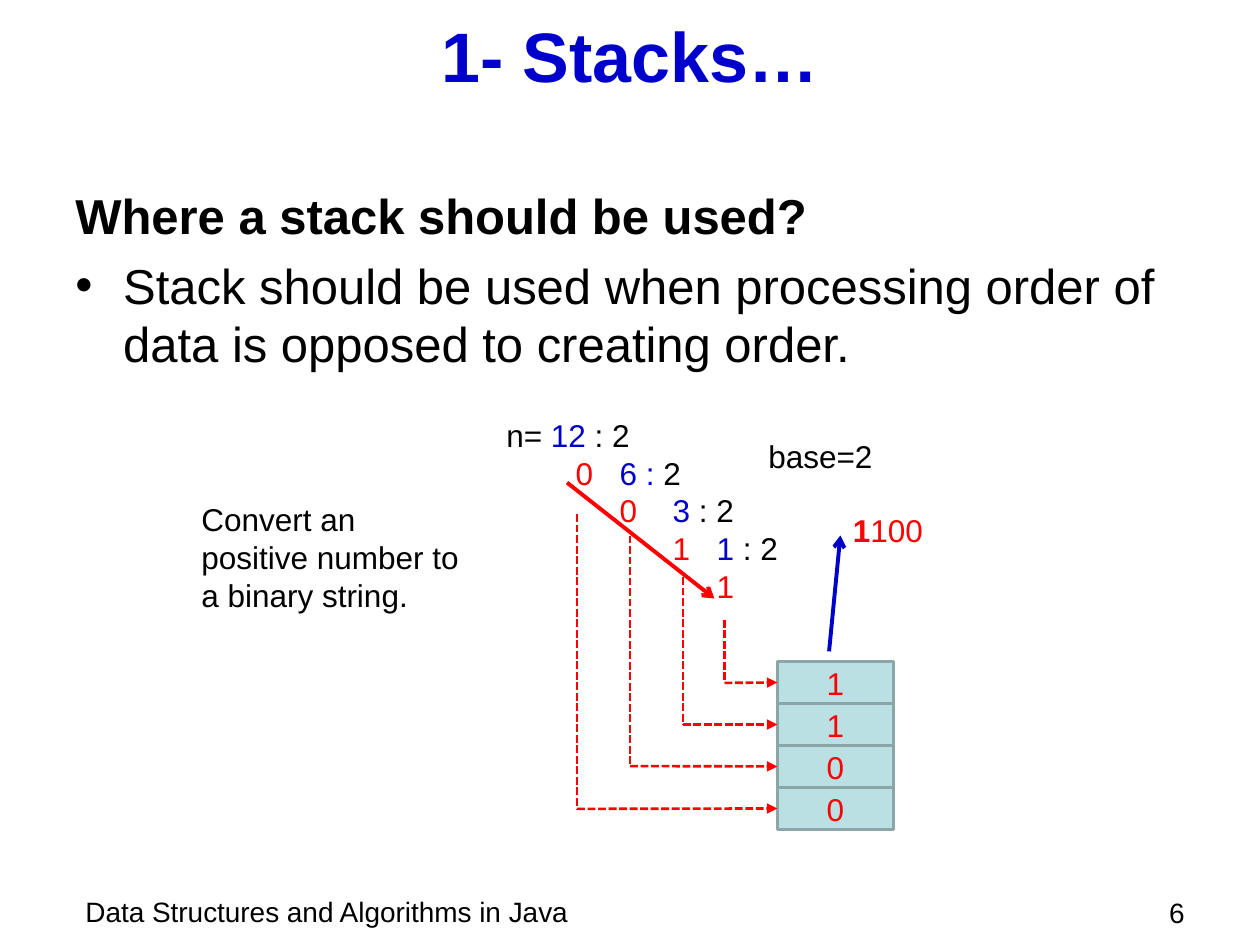
import pptx
import pptx.util
import pptx.dml.color
import pptx.enum.dml
import pptx.enum.shapes
import pptx.enum.text
import pptx.oxml
import pptx.oxml.ns
from lxml import etree

Inches = pptx.util.Inches
Pt = pptx.util.Pt
RGBColor = pptx.dml.color.RGBColor
PP_ALIGN = pptx.enum.text.PP_ALIGN
MSO_ANCHOR = pptx.enum.text.MSO_ANCHOR
qn = pptx.oxml.ns.qn

BLACK = RGBColor(0x00, 0x00, 0x00)
WHITE = RGBColor(0xFF, 0xFF, 0xFF)
BLUE = RGBColor(0x00, 0x00, 0xCC)
RED = RGBColor(0xFF, 0x00, 0x00)
CELL_FILL = RGBColor(0xBB, 0xE0, 0xE3)
CELL_LINE = RGBColor(0x8A, 0xA6, 0xA8)

deck = pptx.Presentation()
deck.slide_width = Inches(10)
deck.slide_height = Inches(7.5)
page = deck.slides.add_slide(deck.slide_layouts[6])
page.background.fill.solid()
page.background.fill.fore_color.rgb = WHITE


def add_text(left, top, width, height, paragraphs, size, align=PP_ALIGN.LEFT):
    box = page.shapes.add_textbox(Inches(left), Inches(top), Inches(width), Inches(height))
    frame = box.text_frame
    frame.word_wrap = True
    for index, spans in enumerate(paragraphs):
        para = frame.paragraphs[0] if index == 0 else frame.add_paragraph()
        para.alignment = align
        for text, color, bold in spans:
            span = para.add_run()
            span.text = text
            span.font.name = "Arial"
            span.font.size = Pt(size)
            span.font.color.rgb = color
            span.font.bold = bold
    return frame


def add_line(start, end, color, width, dashed=False, head=None):
    line = page.shapes.add_connector(
        pptx.enum.shapes.MSO_CONNECTOR.STRAIGHT, *[Inches(value) for value in start + end])
    line.line.color.rgb = color
    line.line.width = Pt(width)
    if dashed:
        line.line.dash_style = pptx.enum.dml.MSO_LINE.SQUARE_DOT
    if head:
        etree.SubElement(line.line._get_or_add_ln(), qn("a:tailEnd"), type=head)
    etree.SubElement(line._element.spPr, qn("a:effectLst"))
    return line


add_text(0.58, 7.05, 5.67, 0.37, [[("Data Structures and Algorithms in Java", BLACK, False)]], 16)
add_text(8.83, 7.06, 0.67, 0.35, [[("6", BLACK, False)]], 16, PP_ALIGN.RIGHT)

title = add_text(0.5, 0.08, 9, 0.7, [[("1- Stacks…", BLUE, True)]], 40, PP_ALIGN.CENTER)
title.vertical_anchor = MSO_ANCHOR.MIDDLE

body = add_text(0.5, 1.42, 9, 1.67, [
    [("Where a stack should be used?", BLACK, True)],
    [("Stack should be used when processing order of data is opposed to creating order.",
      BLACK, False)],
], 28)
for para in body.paragraphs:
    properties = para._p.get_or_add_pPr()
    properties.set("marL", str(Inches(0.38)))
    properties.set("indent", str(-Inches(0.38)))
bullet = body.paragraphs[1]
bullet.space_before = Pt(6.4)
etree.SubElement(bullet._p.pPr, qn("a:buFont"), typeface="Arial")
etree.SubElement(bullet._p.pPr, qn("a:buChar"), char="•")

division = add_text(3.92, 3.25, 2.5, 1.62, [
    [("n= ", BLACK, False), ("12", BLUE, False), (" : 2", BLACK, False)],
    [("\t0\t", RED, False), ("6 : ", BLUE, False), ("2", BLACK, False)],
    [("\t0\t", RED, False), ("3", BLUE, False), (" : 2", BLACK, False)],
    [("\t1\t", RED, False), ("1", BLUE, False), (" : 2", BLACK, False)],
    [("\t1", RED, False)],
], 18)
columns = [0.55, 0.9, 1.32, 1.67]
for step, para in enumerate(division.paragraphs[1:]):
    tabs = etree.SubElement(para._p.get_or_add_pPr(), qn("a:tabLst"))
    for position in columns[step:step + 2]:
        etree.SubElement(tabs, qn("a:tab"), pos=str(Inches(position)), algn="l")

cell_height = Inches(1) // 3
cells = []
for row, digit in enumerate("1100"):
    cell = page.shapes.add_shape(
        pptx.enum.shapes.MSO_SHAPE.RECTANGLE,
        Inches(6.17), Inches(5.25) + row * cell_height, Inches(0.92), cell_height)
    cell.shadow.inherit = False
    cell.fill.solid()
    cell.fill.fore_color.rgb = CELL_FILL
    cell.line.color.rgb = CELL_LINE
    cell.line.width = Pt(2)
    cell.text_frame.text = digit
    cell.text_frame.vertical_anchor = MSO_ANCHOR.MIDDLE
    para = cell.text_frame.paragraphs[0]
    para.alignment = PP_ALIGN.CENTER
    span = para.runs[0]
    span.font.name = "Arial"
    span.font.size = Pt(18)
    span.font.color.rgb = RED
    cells.append(cell)

add_text(6, 3.42, 1.17, 0.4, [[("base=2", BLACK, False)]], 18)
add_line((4.5, 3.83), (5.67, 4.75), RED, 2.25, head="arrow")
add_line((6.58, 5.17), (6.67, 4.25), BLUE, 2.25, head="arrow")
add_text(6.67, 4.01, 0.83, 0.4, [[("1", RED, True), ("100", RED, False)]], 18)

drops = [(5.75, 4.92, 5.42), (5.42, 4.58, 5.75), (5, 4.25, 6.08), (4.58, 4.08, 6.42)]
for cell, (x, top, bottom) in zip(cells, drops):
    add_line((x, top), (x, bottom), RED, 1.5, dashed=True)
    push = add_line((x, bottom), (6.17, bottom), RED, 1.5, dashed=True, head="triangle")
    push.end_connect(cell, 1)

add_text(1.5, 3.92, 2.33, 1.01,
         [[("Convert an positive number to a binary string.", BLACK, False)]], 18)

deck.save("out.pptx")
